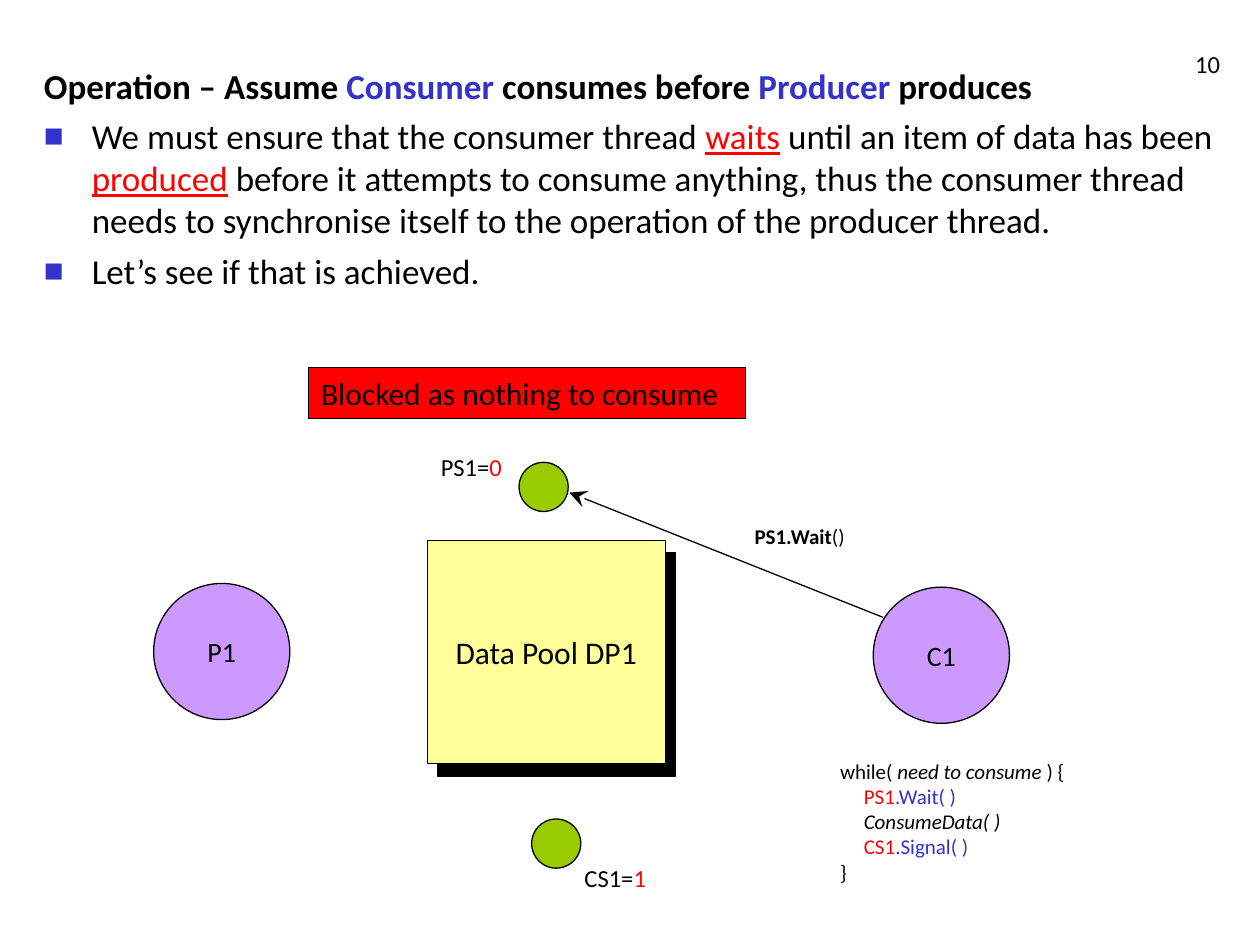
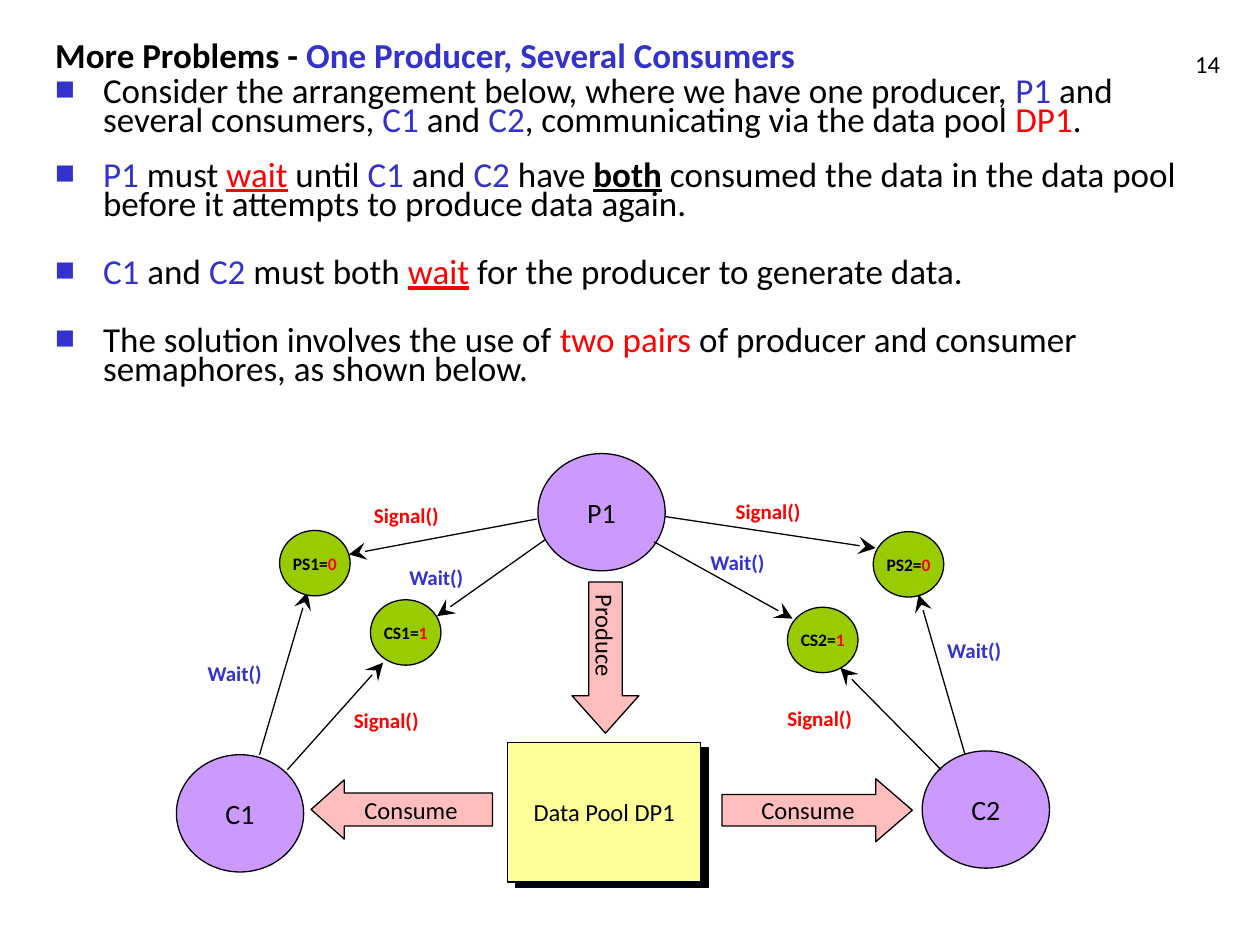
from lxml import etree
from pptx import Presentation
from pptx.dml.color import RGBColor
from pptx.enum.shapes import MSO_CONNECTOR, MSO_SHAPE
from pptx.enum.text import MSO_ANCHOR, PP_ALIGN
from pptx.oxml.ns import qn
from pptx.util import Pt

RECTANGLE, OVAL = MSO_SHAPE.RECTANGLE, MSO_SHAPE.OVAL
LEFT, CENTER, RIGHT = PP_ALIGN.LEFT, PP_ALIGN.CENTER, PP_ALIGN.RIGHT
TOP, MIDDLE, BOTTOM = MSO_ANCHOR.TOP, MSO_ANCHOR.MIDDLE, MSO_ANCHOR.BOTTOM

FONT = "Calibri"
COLORS = {
    "black": "000000", "blue": "3333CC", "red": "FF0000", "pool": "FFFF99",
    "thread": "CC99FF", "semaphore": "99CC00", "flow": "FFBDBD",
}
BODY_SIZE = 20
HANGING = 27.36

# Content: a run is (text, style words), a body paragraph is (space before, runs)
WAITING = {
    "number": "10",
    "box": (18, 33.1, 687.6, 464.4),
    "line_spacing": None,
    "body": [
        (0, [("Operation – Assume ", "b"), ("Consumer", "b blue"),
             (" consumes before ", "b"), ("Producer", "b blue"), (" produces", "b")]),
        (5, [("We must ensure that the consumer thread ", ""), ("waits", "red u"),
             (" until an item of data has been ", ""), ("produced", "red u"),
             (" before it attempts to consume anything, thus the consumer thread "
              "needs to synchronise itself to the operation of the producer thread.", "")]),
        (5, [("Let’s see if that is achieved.", "")]),
    ],
}
SEVERAL = {
    "number": "14",
    "box": (24.5, 22.3, 664.6, 215.3),
    "line_spacing": 0.7,
    "body": [
        (0, [("More Problems - ", "b"), ("One Producer, Several Consumers", "b blue")]),
        (2.8, [("Consider the arrangement below, where we have one producer, ", ""),
               ("P1", "blue"), (" and several consumers, ", ""), ("C1", "blue"),
               (" and ", ""), ("C2", "blue"),
               (", communicating via the data pool ", ""), ("DP1", "red"), (".", "")]),
        (14.4, [("P1", "blue"), (" must ", ""), ("wait", "red u"), (" until ", ""),
                ("C1", "blue"), (" and ", ""), ("C2", "blue"), (" have ", ""),
                ("both", "b u"), (" consumed the data in the data pool before it "
                                  "attempts to produce data again.", "")]),
        (22, [("C1", "blue"), (" and ", ""), ("C2", "blue"), (" must both ", ""),
              ("wait", "red u"), (" for the producer to generate data.", "")]),
        (22, [("The solution involves the use of ", ""), ("two pairs", "red"),
              (" of producer and consumer semaphores, as shown below.", "")]),
    ],
}

CONSUMER_CODE = [
    [("while( ", ""), ("need to consume", "i"), (" ) {", "")],
    [("     ", ""), ("PS1", "red"), (".Wait( )", "blue")],
    [("     ConsumeData( )", "i")],
    [("     CS1", "red"), (".Signal( )", "blue")],
    [("}", "")],
]

# Diagram with one consumer
ONE_THREADS = [("P1", 87.8, 333.4), ("C1", 499, 335.5)]
ONE_SEMAPHORES = [(296.6, 264.2), (303.8, 468)]
ONE_VALUES = [("PS1=", "0", 244.8, 254.9), ("CS1=", "1", 326.9, 489.6)]

# Diagram with two consumers
MANY_THREADS = [("P1", 307.4, 259.2), ("C1", 100.8, 431.3), ("C2", 527, 429.1)]
MANY_SEMAPHORES = [
    ("PS1=", "0", 159.8, 303.1), ("CS1=", "1", 211.7, 342.7),
    ("PS2=", "0", 499, 303.8), ("CS2=", "1", 450, 347),
]
FLOWS = [  # preset, text, box, adjustments, text direction
    (MSO_SHAPE.RIGHT_ARROW, "Consume", (412.6, 445, 108.7, 36), (0.5, 0.58), None),
    (MSO_SHAPE.LEFT_ARROW, "Consume", (177.8, 445.7, 103.7, 33.8), (0.56, 0.56), None),
    (MSO_SHAPE.DOWN_ARROW, "Produce", (326.9, 332.6, 38.2, 86.4), (0.5, 0.56), "eaVert"),
]
CALLS = {
    ("Signal()", "b red"): [(206.6, 283.7), (413.3, 281.5), (442.8, 399.6), (195.1, 401)],
    ("Wait()", "b blue"): [(226.8, 319), (398.9, 310.3), (534.2, 360.7), (111.6, 373.7)],
}
CALL_ARROWS = [  # thread end, semaphore end
    (148.3, 431.3, 175.7, 338.4), (164.2, 439.9, 218.9, 378.7),
    (306.7, 296.6, 199.4, 316.8), (311.8, 308.2, 249.8, 352.1),
    (380.2, 295.2, 500.4, 313.2), (551.5, 431.3, 524.9, 339.8),
    (373.7, 309.6, 452.9, 353.5), (537.8, 439.9, 480.2, 381.6),
]


def color(name):
    return RGBColor.from_string(COLORS[name])


def points(values):
    return [Pt(value) for value in values]


# Text
def add_runs(paragraph, runs, size):
    for text, style in runs:
        words = style.split()
        run = paragraph.add_run()
        run.text = text
        font = run.font
        font.name, font.size = FONT, Pt(size)
        font.bold, font.italic, font.underline = (flag in words for flag in "biu")
        font.color.rgb = color(next((word for word in words if word in COLORS), "black"))


def write(shape, paragraphs, size, align=LEFT, anchor=TOP, wrap=True):
    frame = shape.text_frame
    frame.word_wrap, frame.vertical_anchor = wrap, anchor
    for index, runs in enumerate(paragraphs):
        paragraph = frame.add_paragraph() if index else frame.paragraphs[0]
        paragraph.alignment = align
        add_runs(paragraph, runs, size)
    return frame


def add_text(slide, box, paragraphs, size, **layout):
    return write(slide.shapes.add_textbox(*points(box)), paragraphs, size, **layout)


def add_bullet(paragraph):
    properties = paragraph._p.get_or_add_pPr()
    bullet_color = etree.SubElement(properties, qn("a:buClr"))
    etree.SubElement(bullet_color, qn("a:srgbClr"), val=COLORS["blue"])
    etree.SubElement(properties, qn("a:buSzPct"), val="60000")
    etree.SubElement(properties, qn("a:buFont"), typeface=FONT)
    etree.SubElement(properties, qn("a:buChar"), char="■")


def add_page(presentation, content):
    slide = presentation.slides.add_slide(presentation.slide_layouts[6])
    add_text(slide, (554.4, 12.2, 149.8, 36), [[(content["number"], "")]], 14,
             align=RIGHT, anchor=BOTTOM)
    frame = add_text(slide, content["box"], [runs for _, runs in content["body"]], BODY_SIZE)
    for index, (paragraph, (space, _)) in enumerate(zip(frame.paragraphs, content["body"])):
        properties = paragraph._p.get_or_add_pPr()
        properties.set("marL", str(Pt(HANGING)))
        properties.set("indent", str(-Pt(HANGING)))
        if index:
            add_bullet(paragraph)
            paragraph.space_before = Pt(space)
        paragraph.line_spacing = content["line_spacing"]
    return slide


# Diagram parts
def add_node(slide, preset, box, fill, runs=(), size=16):
    shape = slide.shapes.add_shape(preset, *points(box))
    shape.shadow.inherit = False
    shape.fill.solid()
    shape.fill.fore_color.rgb = color(fill)
    shape.line.color.rgb = color("black")
    shape.line.width = Pt(0.75)
    if runs:
        write(shape, [runs], size, align=CENTER, anchor=MIDDLE, wrap=False)
    return shape


def add_pool(slide, box, offset, size):
    left, top, width, height = box
    add_node(slide, RECTANGLE, (left + offset[0], top + offset[1], width, height), "black")
    add_node(slide, RECTANGLE, box, "pool", [("Data Pool DP1", "")], size)


def add_threads(slide, threads, width, height):
    for name, left, top in threads:
        add_node(slide, OVAL, (left, top, width, height), "thread", [(name, "")])


def add_arrow(slide, ends):
    line = slide.shapes.add_connector(MSO_CONNECTOR.STRAIGHT, *points(ends))
    line.line.color.rgb = color("black")
    line.line.width = Pt(0.75)
    outline = line.line._get_or_add_ln()
    etree.SubElement(outline, qn("a:tailEnd"), type="stealth", w="lg", len="lg")
    etree.SubElement(line._element.spPr, qn("a:effectLst"))


def draw_one_consumer(slide):
    add_pool(slide, (244.1, 308.9, 136.1, 127.4), (5.8, 7.2), 18)
    add_threads(slide, ONE_THREADS, 77.8, 77.8)
    for left, top in ONE_SEMAPHORES:
        add_node(slide, OVAL, (left, top, 28.1, 28.1), "semaphore")
    for name, value, left, top in ONE_VALUES:
        add_text(slide, (left, top, 59, 24.5), [[(name, ""), (value, "red")]], 14)
    add_arrow(slide, (504.7, 352.8, 325.4, 281.5))
    add_text(slide, (424.1, 295.9, 78.5, 21.6), [[("PS1.Wait", "b"), ("()", "")]], 12)
    banner = add_node(slide, RECTANGLE, (176.4, 210.2, 249.8, 29.1), "red")
    write(banner, [[("Blocked as nothing to consume", "")]], 18)
    add_text(slide, (473, 429.8, 164.2, 79.2), CONSUMER_CODE, 12)


def draw_several_consumers(slide):
    add_pool(slide, (290.2, 424.1, 110.2, 79.9), (4.3, 3), 14)
    add_threads(slide, MANY_THREADS, 72.7, 67)
    for preset, text, box, adjustments, direction in FLOWS:
        flow = add_node(slide, preset, box, "flow", [(text, "")], 14)
        for index, value in enumerate(adjustments):
            flow.adjustments[index] = value
        if direction:
            flow.text_frame._txBody.bodyPr.set("vert", direction)
    for ends in CALL_ARROWS:
        add_arrow(slide, ends)
    for call, places in CALLS.items():
        for left, top in places:
            add_text(slide, (left, top, 86, 21.6), [[call]], 12)
    for name, value, left, top in MANY_SEMAPHORES:
        add_node(slide, OVAL, (left, top, 40.3, 37.4), "semaphore",
                 [(name, "b"), (value, "b red")], 10)


def main():
    presentation = Presentation()
    presentation.slide_width, presentation.slide_height = Pt(720), Pt(540)
    draw_one_consumer(add_page(presentation, WAITING))
    draw_several_consumers(add_page(presentation, SEVERAL))
    presentation.save("out.pptx")


if __name__ == "__main__":
    main()
